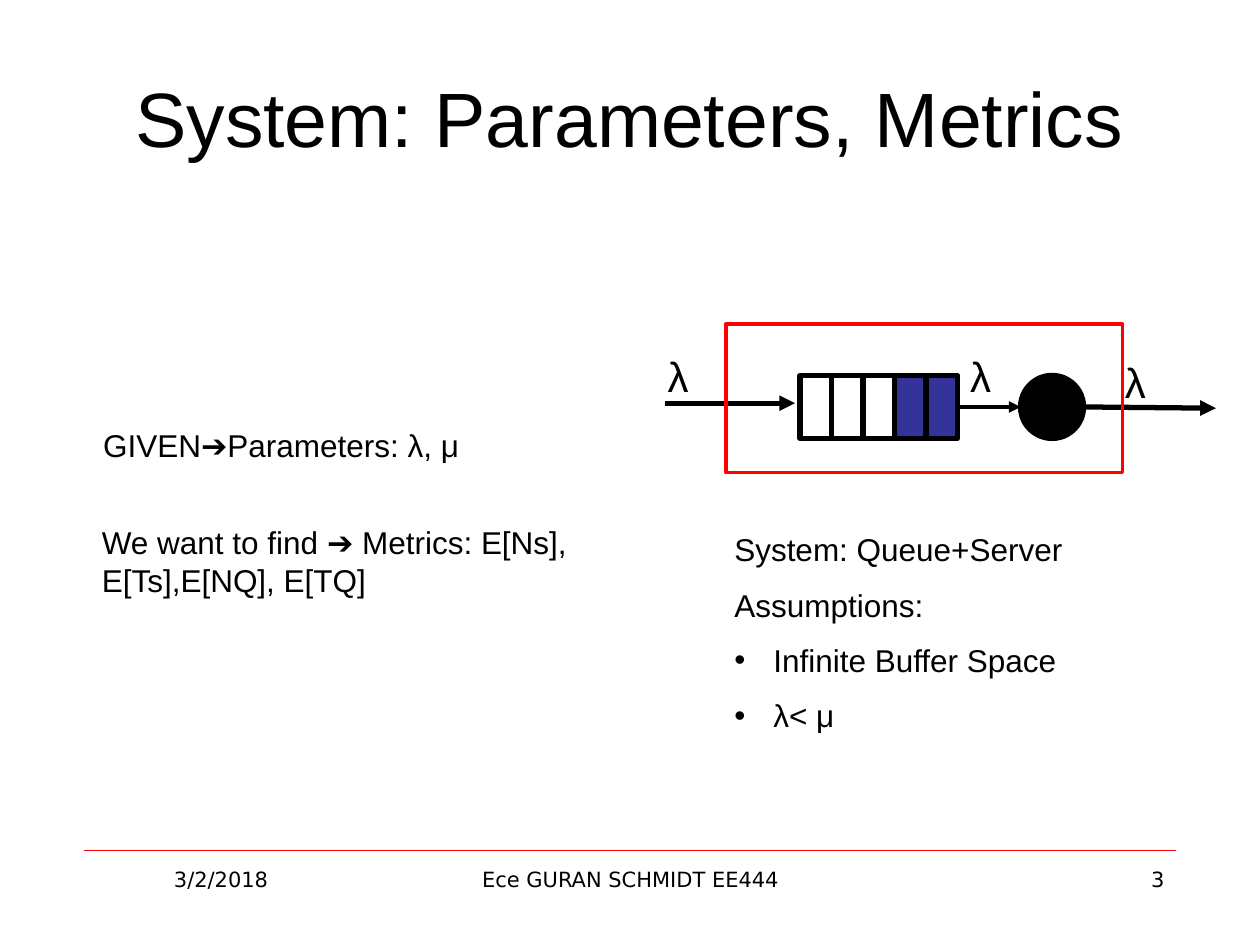
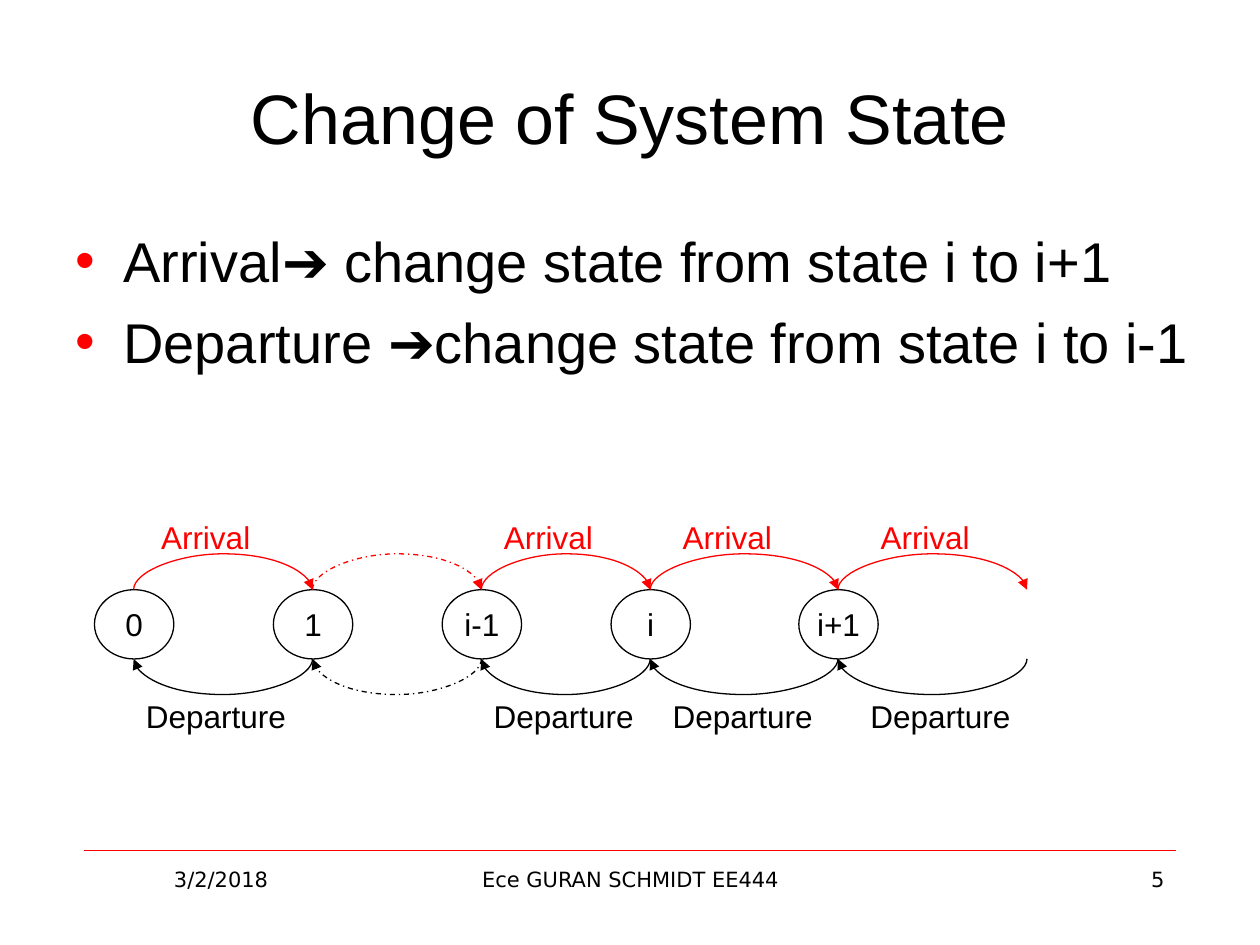
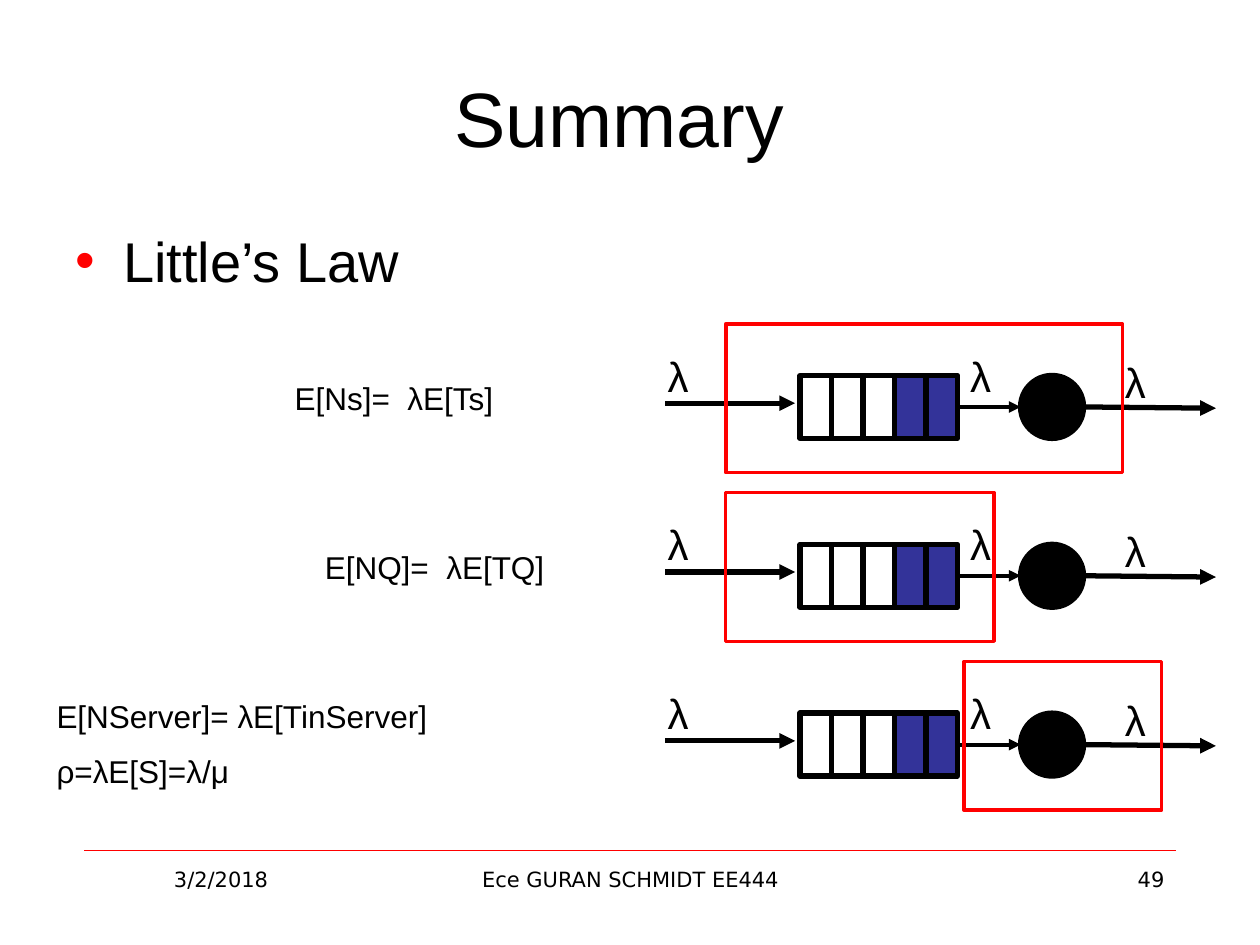
from lxml.etree import SubElement
from pptx import Presentation
from pptx.dml.color import RGBColor
from pptx.enum.dml import MSO_LINE
from pptx.enum.shapes import MSO_CONNECTOR as LINK, MSO_SHAPE as SHAPE
from pptx.enum.text import MSO_ANCHOR as ANCHOR, PP_ALIGN as ALIGN
from pptx.oxml.ns import qn
from pptx.util import Inches, Pt

BLACK = RGBColor(0x00, 0x00, 0x00)
RED = RGBColor(0xFF, 0x00, 0x00)
BLUE = RGBColor(0x33, 0x33, 0x99)
SANS = "Arial"
FOOTER_FONT = "DejaVu Sans"


def write(frame, lines, size, color=BLACK, font=SANS, align=ALIGN.LEFT,
          gap=10, bullet_color=None, indent=0.31):
    """Fill a text frame; a line that starts with "• " becomes a bullet."""
    frame.word_wrap = True
    for number, line in enumerate(lines):
        paragraph = frame.paragraphs[0] if number == 0 else frame.add_paragraph()
        paragraph.alignment = align
        if number:
            paragraph.space_before = Pt(gap)
        if line.startswith("• "):
            line = line[2:]
            props = paragraph._p.get_or_add_pPr()
            props.set("marL", str(Inches(indent)))
            props.set("indent", str(-Inches(indent)))
            if bullet_color is not None:
                tint = SubElement(props, qn("a:buClr"))
                SubElement(tint, qn("a:srgbClr"), val=str(bullet_color))
            SubElement(props, qn("a:buFont"), typeface=SANS)
            SubElement(props, qn("a:buChar"), char="•")
        run = paragraph.add_run()
        run.text = line
        run.font.name = font
        run.font.size = Pt(size)
        run.font.color.rgb = color


def outline(item, color, width, arrow=False):
    """Style the line of a shape or connector and drop its shadow."""
    item.line.color.rgb = color
    item.line.width = Pt(width)
    if arrow:
        SubElement(item.line._get_or_add_ln(), qn("a:tailEnd"), type="triangle")
    SubElement(item._element.spPr, qn("a:effectLst"))


prs = Presentation()
prs.slide_width, prs.slide_height = Inches(10), Inches(7.5)

# Title, footer rule and footer of every slide
slides = []
for title, title_size, number in [("System: Parameters, Metrics", 44, "3"),
                                  ("Change of System State", 40, "5"),
                                  ("Summary ", 44, "49")]:
    slide = prs.slides.add_slide(prs.slide_layouts[6])
    slides.append(slide)
    rule = slide.shapes.add_connector(LINK.STRAIGHT, Inches(0.67), Inches(6.75),
                                      Inches(9.33), Inches(6.75))
    outline(rule, RED, 0.25)
    for text, left, width, align in [("3/2/2018", 0.67, 2.17, ALIGN.CENTER),
                                     ("Ece GURAN SCHMIDT EE444", 3.42, 3.17, ALIGN.CENTER),
                                     (number, 7.17, 2.17, ALIGN.RIGHT)]:
        footer = slide.shapes.add_textbox(Inches(left), Inches(6.83), Inches(width), Inches(0.52))
        write(footer.text_frame, [text], 12, font=FOOTER_FONT, align=align)
    heading = slide.shapes.add_textbox(Inches(0.5), Inches(0.3), Inches(9), Inches(1.25))
    heading.text_frame.vertical_anchor = ANCHOR.MIDDLE
    write(heading.text_frame, [title], title_size, align=ALIGN.CENTER)
parameters, states, summary = slides

# Queue and server diagrams, each with a red frame around the part studied
CELL, QUEUE_LEFT, QUEUE_TOP, QUEUE_STEP = 0.25, 6.35, 2.98, 1.34
for slide, row, frame_left, frame_width in [(parameters, 0, 5.76, 3.15),
                                            (summary, 0, 5.76, 3.15),
                                            (summary, 1, 5.76, 2.13),
                                            (summary, 2, 7.65, 1.57)]:
    top = QUEUE_TOP + row * QUEUE_STEP
    middle = top + 0.25
    for slot in range(5):
        cell = slide.shapes.add_shape(SHAPE.RECTANGLE, Inches(QUEUE_LEFT + slot * CELL),
                                      Inches(top), Inches(CELL), Inches(0.5))
        if slot < 3:
            cell.fill.background()
        else:
            cell.fill.solid()
            cell.fill.fore_color.rgb = BLUE
        outline(cell, BLACK, 3)
    server = slide.shapes.add_shape(SHAPE.OVAL, Inches(8.1), Inches(top), Inches(0.5), Inches(0.5))
    server.fill.solid()
    server.fill.fore_color.rgb = BLACK
    outline(server, BLACK, 3)

    for start, end, start_y, end_y, weight in [(5.28, 6.31, middle - 0.03, middle - 0.03, 3),
                                               (7.6, 8.1, middle, middle, 2.25),
                                               (8.62, 9.65, middle, middle + 0.01, 3)]:
        flow = slide.shapes.add_connector(LINK.STRAIGHT, Inches(start), Inches(start_y),
                                          Inches(end), Inches(end_y))
        if start == 7.6:
            flow.begin_connect(cell, 3)
        outline(flow, BLACK, weight, arrow=True)
    for left, rise, width in [(5.2, 0.25, 0.68), (7.6, 0.25, 0.35), (8.83, 0.2, 0.35)]:
        rate = slide.shapes.add_textbox(Inches(left), Inches(top - rise), Inches(width), Inches(0.5))
        write(rate.text_frame, ["λ"], 24)
    boundary = slide.shapes.add_shape(SHAPE.RECTANGLE, Inches(frame_left), Inches(top - 0.41),
                                      Inches(frame_width), Inches(1.18))
    boundary.fill.background()
    outline(boundary, RED, 2)

# Notes beside the diagrams
for slide, left, top, width, height, lines in [
    (parameters, 0.71, 4.1, 4.58, 1.16, ["We want to find ➔ Metrics: E[Ns], E[Ts],E[NQ], E[TQ]"]),
    (parameters, 0.72, 3.33, 4.27, 0.86, ["GIVEN➔Parameters: λ, μ"]),
    (parameters, 5.73, 4.16, 3.17, 2.22, ["System: Queue+Server", "Assumptions:",
                                          "• Infinite Buffer Space", "• λ< μ"]),
    (summary, 2.24, 2.96, 2.6, 0.4, ["E[Ns]=  λE[Ts]"]),
    (summary, 2.48, 4.3, 2.6, 0.4, ["E[NQ]=  λE[TQ]"]),
    (summary, 0.35, 5.48, 4.65, 0.85, ["E[NServer]= λE[TinServer]", "ρ=λE[S]=λ/μ"]),
]:
    note = slide.shapes.add_textbox(Inches(left), Inches(top), Inches(width), Inches(height))
    write(note.text_frame, lines, 18)

# Large bullets
for slide, width, height, lines in [
    (states, 9.22, 4.95, ["• Arrival➔ change state from state i to i+1",
                          "• Departure ➔change state from state i to i-1"]),
    (summary, 9, 0.74, ["• Little’s Law"]),
]:
    body = slide.shapes.add_textbox(Inches(0.5), Inches(1.75), Inches(width), Inches(height))
    write(body.text_frame, lines, 32, gap=8, bullet_color=RED, indent=0.38)

# State circles
STATE_TOP, STATE_BOTTOM = 4.68, 5.23
centers = [1.06, 2.48, 3.82, 5.16, 6.65, 8.15]
for label, center in zip(["0", "1", "i-1", "i", "i+1"], centers):
    state = states.shapes.add_shape(SHAPE.OVAL, Inches(center - 0.31), Inches(STATE_TOP),
                                    Inches(0.63), Inches(0.55))
    state.fill.background()
    outline(state, BLACK, 0.75)
    state.text_frame.vertical_anchor = ANCHOR.MIDDLE
    write(state.text_frame, [label], 18, align=ALIGN.CENTER)
    state.text_frame.word_wrap = False

# Arcs: nearly flat connectors turned a quarter, bulging away from the circles
FLAT, BULGE = Pt(0.1), Inches(0.25)
for here, after in zip(centers, centers[1:]):
    x = Inches((here + after) / 2)
    half = Inches((after - here) / 2)
    for y, color, side in [(Inches(STATE_TOP), RED, -1), (Inches(STATE_BOTTOM), BLACK, 1)]:
        arc = states.shapes.add_connector(LINK.CURVE, x, y - side * half, x + FLAT, y + side * half)
        geometry = arc._element.spPr
        geometry.find(qn("a:xfrm")).set("rot", "5400000")
        bend = side * BULGE * 100000 // FLAT
        SubElement(geometry.find(qn("a:prstGeom")).find(qn("a:avLst")), qn("a:gd"),
                   name="adj1", fmla=f"val {bend}")
        outline(arc, color, 0.75, arrow=True)
        if here == centers[1]:
            arc.line.dash_style = MSO_LINE.DASH_DOT

for arrival_left, departure_left in [(1.18, 1.06), (3.9, 3.82), (5.32, 5.24), (6.89, 6.81)]:
    for text, left, top, width, color in [("Arrival", arrival_left, 4.06, 1.18, RED),
                                          ("Departure", departure_left, 5.48, 1.42, BLACK)]:
        event = states.shapes.add_textbox(Inches(left), Inches(top), Inches(width), Inches(0.4))
        write(event.text_frame, [text], 18, color)

prs.save("out.pptx")
